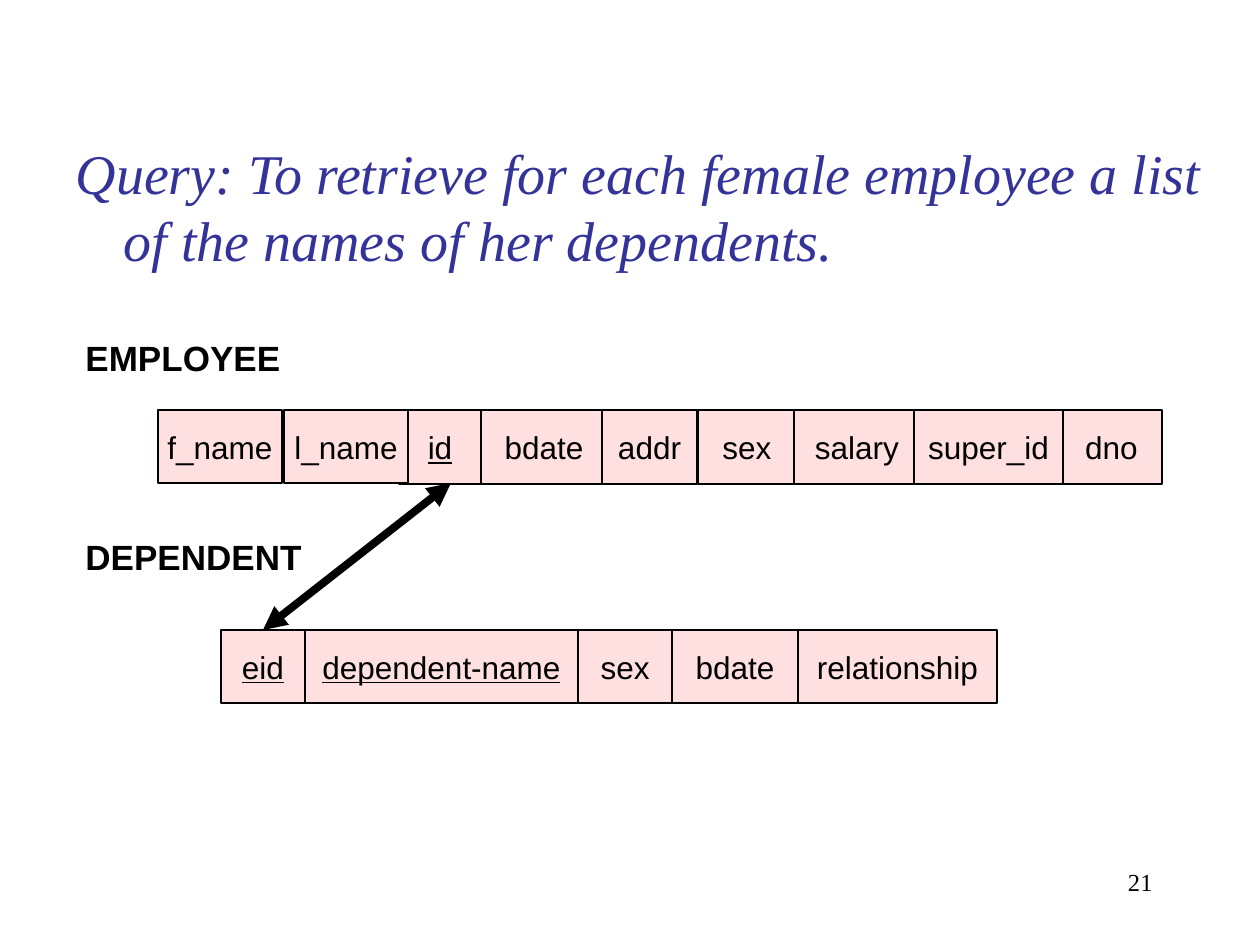
from lxml.etree import SubElement
from pptx import Presentation
from pptx.dml.color import RGBColor
from pptx.enum.shapes import MSO_CONNECTOR, MSO_SHAPE
from pptx.enum.text import MSO_ANCHOR, MSO_AUTO_SIZE, PP_ALIGN
from pptx.oxml.ns import qn
from pptx.util import Inches, Pt

BLACK = RGBColor(0x00, 0x00, 0x00)
INDIGO = RGBColor(0x33, 0x33, 0x99)
PINK = RGBColor(0xFF, 0xE0, 0xE0)


def px(*lengths):
    return [round(length * Inches(1) / 126) for length in lengths]


def write(shape, text, size, font="Arial", color=BLACK, align=PP_ALIGN.LEFT,
          anchor=MSO_ANCHOR.MIDDLE, wrap=False, bold=False, italic=False,
          underline=False):
    frame = shape.text_frame
    frame.auto_size = MSO_AUTO_SIZE.NONE
    frame.word_wrap = wrap
    frame.vertical_anchor = anchor
    paragraph = frame.paragraphs[0]
    paragraph.alignment = align
    run = paragraph.add_run()
    run.text = text
    run.font.name = font
    run.font.size = Pt(size)
    run.font.color.rgb = color
    run.font.bold = bold
    run.font.italic = italic
    run.font.underline = underline
    return paragraph


presentation = Presentation()
presentation.slide_width, presentation.slide_height = px(1260, 945)
slide = presentation.slides.add_slide(presentation.slide_layouts[5])

# Query as title, with a hanging indent
query = slide.shapes.title
query.left, query.top, query.width, query.height = px(63, 126, 1155, 662)
query_line = write(
    query, "Query: To retrieve for each female employee a list of the names of her dependents.",
    32, font="Times New Roman", color=INDIGO, anchor=MSO_ANCHOR.TOP,
    wrap=True, italic=True)
query.text_frame.margin_top = px(12)[0]
indent = px(48)[0]
query_line._p.get_or_add_pPr().set("marL", str(indent))
query_line._p.get_or_add_pPr().set("indent", str(-indent))

# Page number
page_number = slide.shapes.add_textbox(*px(903, 861, 262, 63))
write(page_number, "21", 14, font="Times New Roman", align=PP_ALIGN.RIGHT,
      anchor=MSO_ANCHOR.TOP, wrap=True)

# Relation names
for relation, top, width in (("EMPLOYEE", 315, 210), ("DEPENDENT", 514, 262)):
    relation_name = slide.shapes.add_textbox(*px(73, top, width, 84))
    write(relation_name, relation, 20, bold=True)

# Attributes: name, left, width; the name cells overlap the id cell
employee = [("id", 399, 82), ("bdate", 481, 126), ("addr", 602, 95),
            ("sex", 698, 98), ("salary", 794, 126), ("dno", 1061, 101),
            ("super_id", 914, 149), ("f_name", 158, 124), ("l_name", 284, 124)]
dependent = []
left = 221
for attribute, width in (("eid", 84), ("dependent-name", 273), ("sex", 94),
                         ("bdate", 126), ("relationship", 199)):
    dependent.append((attribute, left, width))
    left += width

keys = {"id", "eid", "dependent-name"}
cells = {}
for relation, top, attributes in (("EMPLOYEE", 410, employee),
                                  ("DEPENDENT", 630, dependent)):
    for attribute, left, width in attributes:
        height = 73 if relation == "DEPENDENT" or attribute.endswith("_name") else 74
        cell = slide.shapes.add_shape(MSO_SHAPE.RECTANGLE, *px(left, top, width, height))
        cell.shadow.inherit = False
        cell.fill.solid()
        cell.fill.fore_color.rgb = PINK
        cell.line.color.rgb = BLACK
        cell.line.width = Pt(1)
        write(cell, attribute, 18, align=PP_ALIGN.CENTER, underline=attribute in keys)
        cells[relation, attribute] = cell

# Reference from eid to id
reference = slide.shapes.add_connector(MSO_CONNECTOR.STRAIGHT, *px(263, 630, 451, 483))
reference.begin_connect(cells["DEPENDENT", "eid"], 0)
reference.line.color.rgb = BLACK
reference.line.width = Pt(4.5)
for end in ("a:headEnd", "a:tailEnd"):
    SubElement(reference.line._get_or_add_ln(), qn(end), type="triangle")
SubElement(reference._element.spPr, qn("a:effectLst"))

presentation.save("out.pptx")
